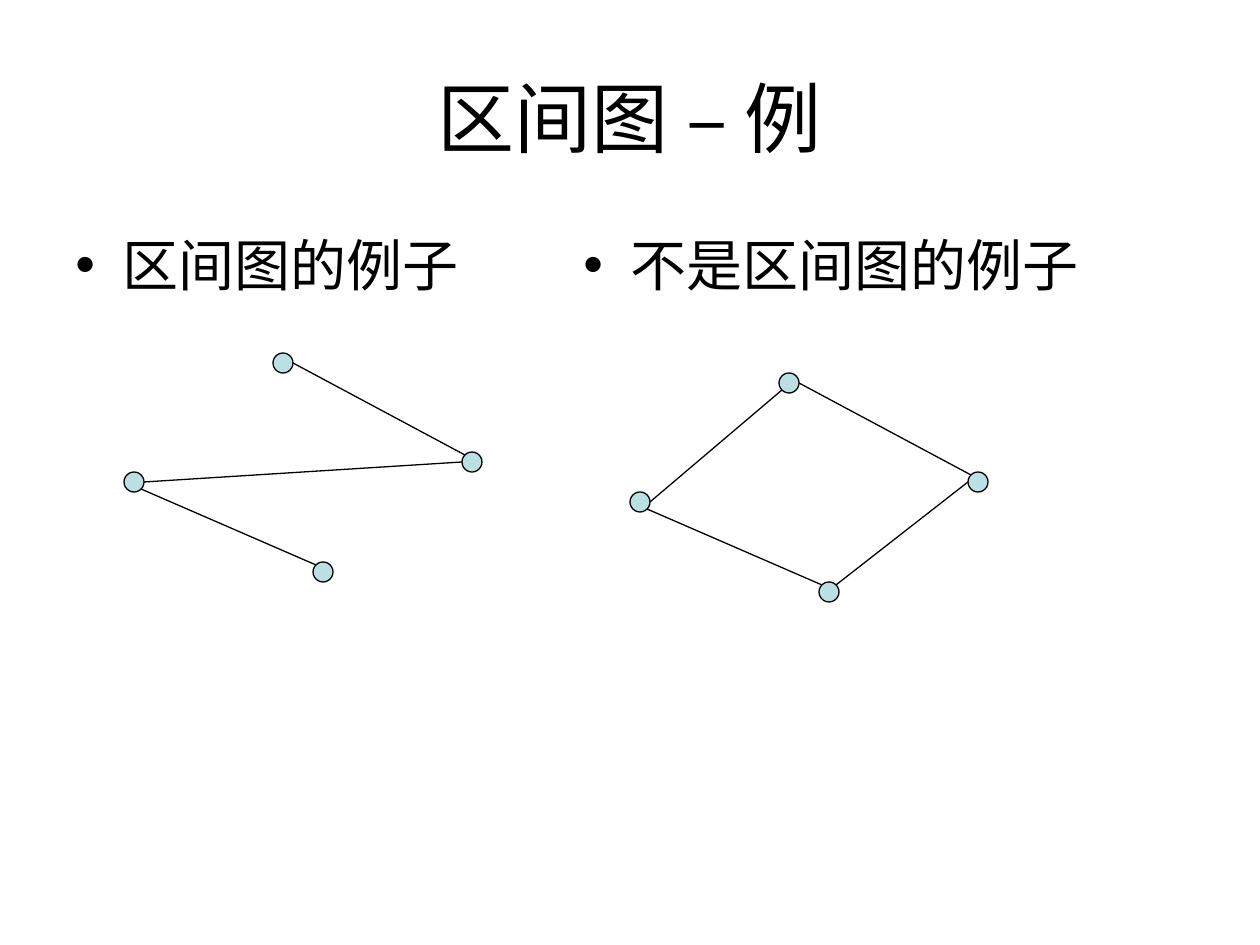
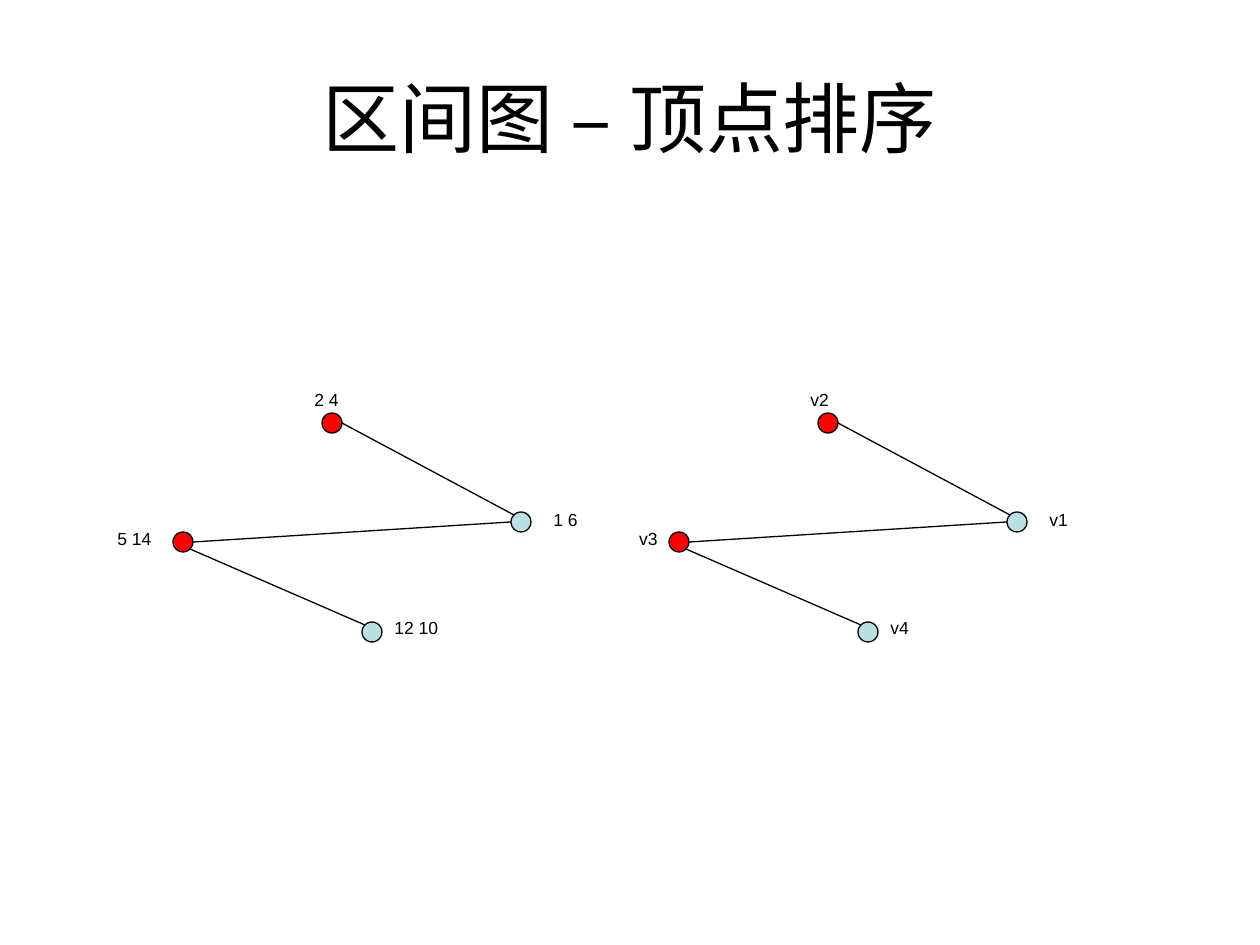
from lxml.etree import SubElement
from pptx import Presentation
from pptx.dml.color import RGBColor
from pptx.enum.shapes import MSO_CONNECTOR as Connector, MSO_SHAPE as Shape
from pptx.enum.text import MSO_ANCHOR as Anchor, PP_ALIGN as Align
from pptx.oxml.ns import qn
from pptx.util import Pt

EMU_PER_PX = 914400 / 126
COLORS = {"ink": "000000", "vertex": "BBE0E3", "marked": "FF0000"}
FONT = "Arial"
RADIUS = 10
DIAGONAL = 7

# Vertex centres relative to the top vertex of a graph
VERTICES = {"top": (0, 0), "left": (-149, 119), "right": (189, 99), "low": (40, 209)}
# Points on a vertex outline where edges meet it
PORTS = {"E": (RADIUS, 0), "W": (-RADIUS, 0), "NW": (-DIAGONAL, -DIAGONAL),
         "NE": (DIAGONAL, -DIAGONAL), "SW": (-DIAGONAL, DIAGONAL),
         "SE": (DIAGONAL, DIAGONAL)}
PATH = [("top", "E", "right", "NW"), ("left", "E", "right", "W"),
        ("left", "SE", "low", "NW")]
CYCLE = [("top", "E", "right", "NW"), ("left", "SE", "low", "NW"),
         ("top", "SW", "left", "E"), ("right", "W", "low", "NE")]
# Label offset from its vertex centre, and width
LABELS = {"top": (-30, -40, 49), "right": (20, -19, 49),
          "left": (-78, -20, 69), "low": (10, -21, 69)}


def px(length):
    return round(length * EMU_PER_PX)


def rgb(name):
    return RGBColor.from_string(COLORS[name])


class Deck:
    def __init__(self):
        self.file = Presentation()
        self.file.slide_width, self.file.slide_height = px(1260), px(945)

    def new_slide(self, title):
        self.slide = self.file.slides.add_slide(self.file.slide_layouts[6])
        self.layer = self.slide.shapes
        self.text(title, 63, 38, 1134, 158, 44, Align.CENTER, Anchor.MIDDLE)

    def text(self, words, left, top, width, height, size,
             align=Align.LEFT, anchor=Anchor.TOP, wrap=True, bullet=False):
        box = self.layer.add_textbox(px(left), px(top), px(width), px(height))
        frame = box.text_frame
        frame.word_wrap = wrap
        frame.vertical_anchor = anchor
        frame.text = words
        line = frame.paragraphs[0]
        line.alignment = align
        if bullet:
            self.bullet(line)
        font = line.runs[0].font
        font.name, font.size = FONT, Pt(size)
        font.color.rgb = rgb("ink")

    def bullet(self, line):
        props = line._p.get_or_add_pPr()
        props.set("marL", str(px(47)))
        props.set("indent", str(px(-47)))
        color = SubElement(props, qn("a:buClr"))
        SubElement(color, qn("a:srgbClr"), val=COLORS["ink"])
        SubElement(props, qn("a:buFont"), typeface=FONT)
        SubElement(props, qn("a:buChar"), char="•")

    def heading(self, words, left, width):
        self.text(words, left, 224, width, 620, 32, bullet=True)

    def vertex(self, x, y, color):
        dot = self.layer.add_shape(Shape.OVAL, px(x - RADIUS), px(y - RADIUS),
                                   px(2 * RADIUS), px(2 * RADIUS))
        dot.shadow.inherit = False
        dot.fill.solid()
        dot.fill.fore_color.rgb = rgb(color)
        self.outline(dot)

    def edge(self, start, end):
        link = self.layer.add_connector(Connector.STRAIGHT, *map(px, start + end))
        SubElement(link._element.spPr, qn("a:effectLst"))
        self.outline(link)

    def outline(self, part):
        part.line.color.rgb = rgb("ink")
        part.line.width = Pt(0.75)

    def graph(self, x, y, edges, marked=(), labels=None, right_aligned=()):
        self.layer = self.slide.shapes.add_group_shape().shapes
        centers = {name: (x + dx, y + dy) for name, (dx, dy) in VERTICES.items()}

        def port(name, side):
            return tuple(c + d for c, d in zip(centers[name], PORTS[side]))

        for name, center in centers.items():
            self.vertex(*center, "marked" if name in marked else "vertex")
        for start, start_side, end, end_side in edges:
            self.edge(port(start, start_side), port(end, end_side))
        for name, words in (labels or {}).items():
            dx, dy, width = LABELS[name]
            cx, cy = centers[name]
            align = Align.RIGHT if name in right_aligned else Align.LEFT
            self.text(words, cx + dx, cy + dy, width, 34, 10, align, wrap=False)
        self.layer = self.slide.shapes


def main():
    deck = Deck()

    # Examples and a counterexample
    deck.new_slide("区间图 – 例")
    deck.heading("区间图的例子", 63, 518)
    deck.graph(283, 363, PATH)
    deck.heading("不是区间图的例子", 571, 557)
    deck.graph(789, 383, CYCLE)

    # Vertex ordering: intervals, then vertex names
    deck.new_slide("区间图 – 顶点排序")
    marked = ("top", "left")
    intervals = {"top": "2 4", "right": "1 6", "left": "5 14", "low": "12 10"}
    order = {"top": "v2", "right": "v1", "left": "v3", "low": "v4"}
    deck.graph(332, 423, PATH, marked, intervals)
    deck.graph(828, 423, PATH, marked, order, right_aligned=("left",))

    deck.file.save("out.pptx")


if __name__ == "__main__":
    main()
